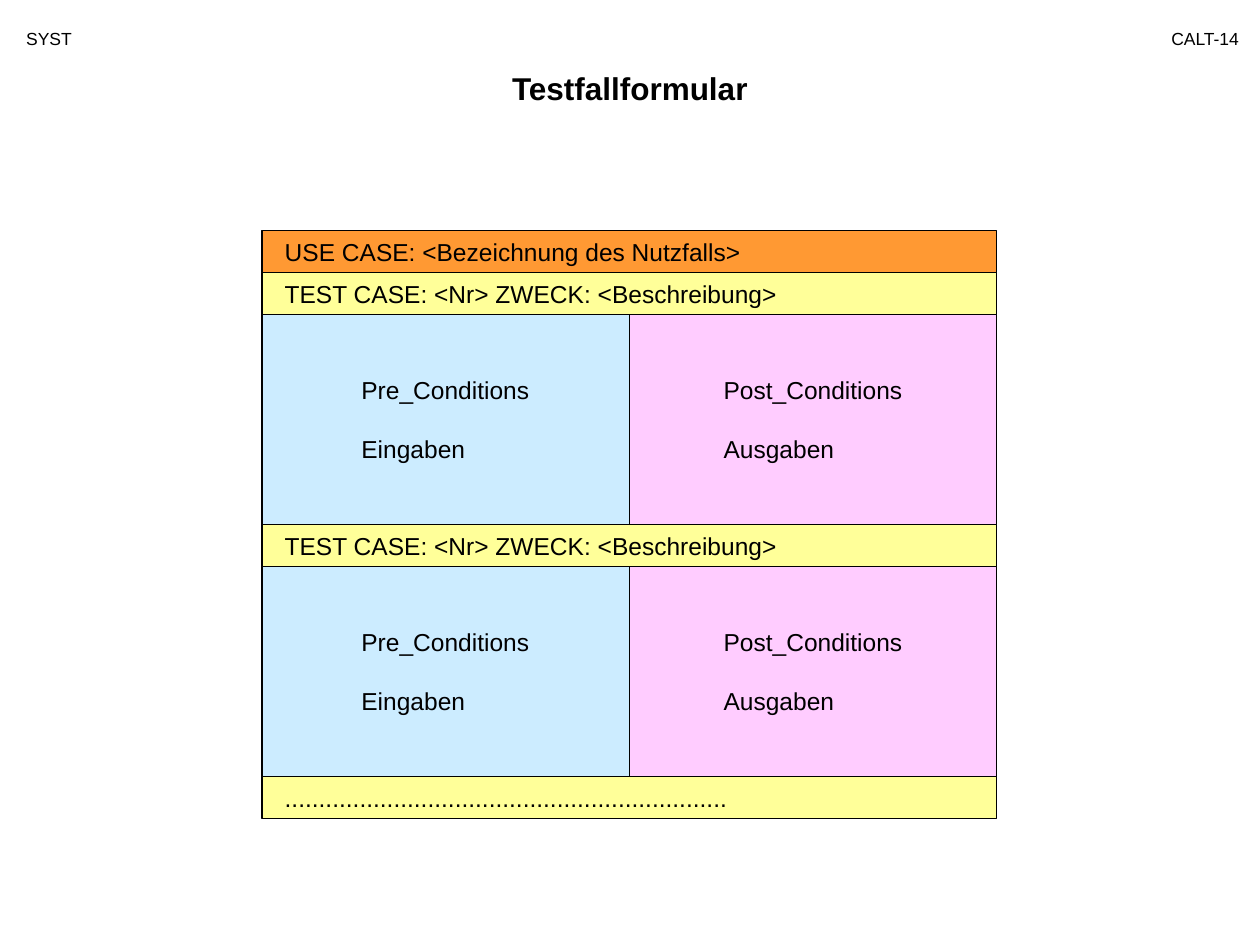
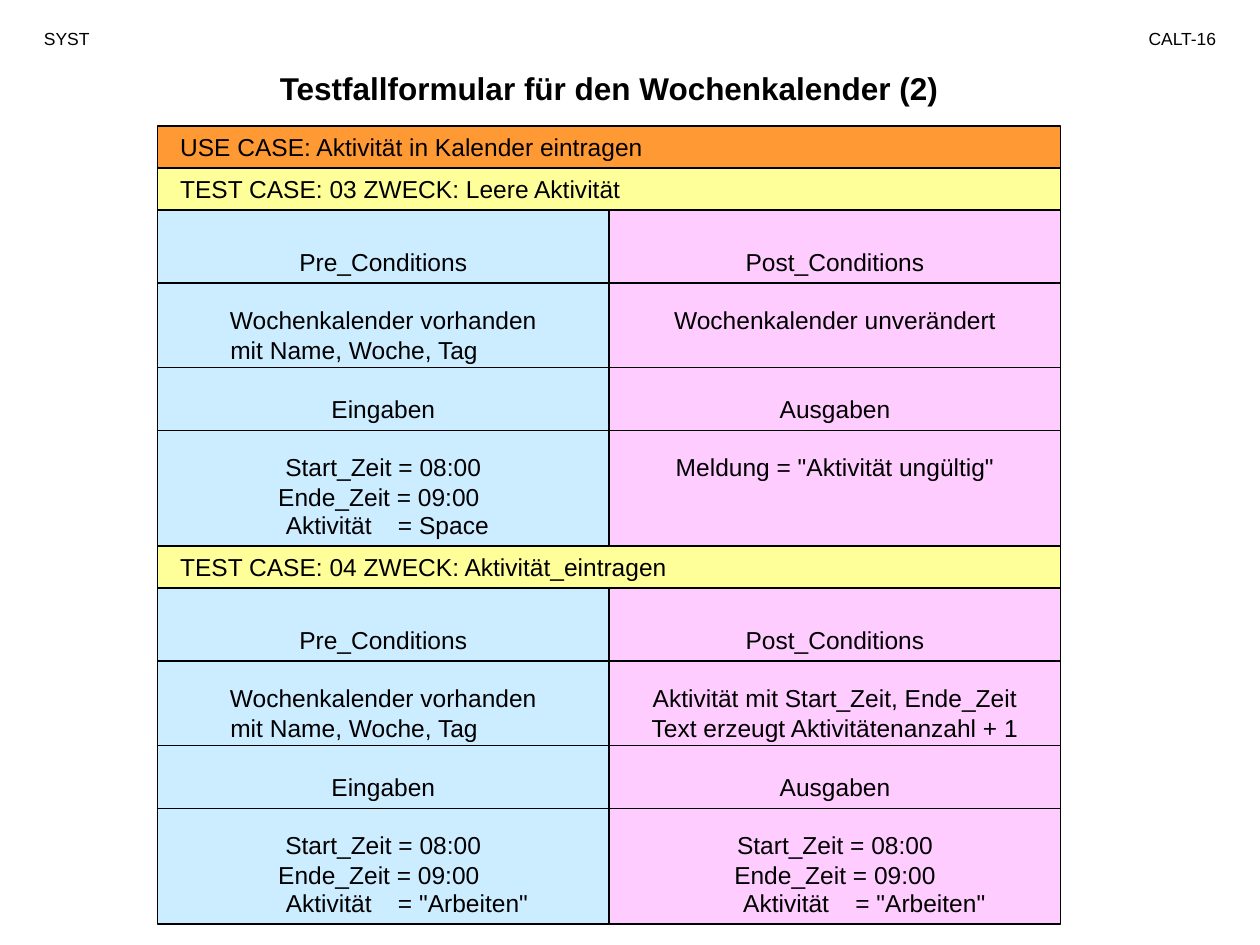
import pptx
import pptx.dml.color
import pptx.enum.shapes
import pptx.enum.text
import pptx.oxml.ns
import pptx.util
from lxml import etree

Inches = pptx.util.Inches
Pt = pptx.util.Pt
ALIGN = pptx.enum.text.PP_ALIGN
ANCHOR = pptx.enum.text.MSO_ANCHOR

COLOURS = {
    "ink": "000000",
    "use_case": "FF9933",
    "test_case": "FFFF99",
    "before": "CCECFF",
    "after": "FFCCFF",
}
FONT = "Arial"
BODY_SIZE = 14
LINE_PITCH = 16.8
BAR_HEIGHT = 1 / 3
BAR_INDENT = 0.18
INSET = 0.1


def rgb(name):
    return pptx.dml.color.RGBColor.from_string(COLOURS[name])


class FormDeck:
    """Holds the style, the current slide and the next free row of its form."""

    def __init__(self):
        self.deck = pptx.Presentation()
        self.deck.slide_width = Inches(10)
        self.deck.slide_height = Inches(7.5)

    def start_slide(self, title, title_box, number, header_boxes):
        """Add a slide with its title and headers; boxes are (left, width)."""
        self.slide = self.deck.slides.add_slide(self.deck.slide_layouts[6])
        self.text_box(title, title_box, 0.5, 0.4, 18, ALIGN.CENTER, bold=True)
        for header, box, align in zip(("SYST", number), header_boxes, (ALIGN.LEFT, ALIGN.RIGHT)):
            self.text_box(header, box, 0.17, 0.27, 10, align)

    def start_form(self, left, top, width, cell_height, cell_top):
        self.left, self.row, self.width = left, top, width
        self.cell_height, self.cell_top = cell_height, cell_top

    def add_run(self, paragraph, text, size=BODY_SIZE, bold=False):
        run = paragraph.add_run()
        run.text = text
        run.font.name = FONT
        run.font.size = Pt(size)
        run.font.bold = bold
        run.font.color.rgb = rgb("ink")

    def text_box(self, text, box, top, height, size, align=ALIGN.LEFT, bold=False):
        left, width = box
        frame = self.slide.shapes.add_textbox(
            Inches(left), Inches(top), Inches(width), Inches(height)).text_frame
        frame.word_wrap = True
        paragraph = frame.paragraphs[0]
        paragraph.alignment = align
        self.add_run(paragraph, text, size, bold)
        return paragraph

    def rectangle(self, left, width, height, fill):
        """Draw a bordered rectangle on the current row, return its text frame."""
        rect = self.slide.shapes.add_shape(
            pptx.enum.shapes.MSO_SHAPE.RECTANGLE,
            Inches(left), Inches(self.row), Inches(width), Inches(height))
        rect.shadow.inherit = False
        rect.fill.solid()
        rect.fill.fore_color.rgb = rgb(fill)
        rect.line.color.rgb = rgb("ink")
        rect.line.width = Pt(0.75)
        rect.text_frame.word_wrap = True
        return rect.text_frame

    def bar(self, text, fill="test_case"):
        frame = self.rectangle(self.left, self.width, BAR_HEIGHT, fill)
        frame.vertical_anchor = ANCHOR.MIDDLE
        frame.margin_left = Inches(BAR_INDENT)
        frame.margin_top = frame.margin_bottom = 0
        frame.paragraphs[0].alignment = ALIGN.LEFT
        self.add_run(frame.paragraphs[0], text)
        self.row += BAR_HEIGHT

    def cells(self, before, after):
        """Draw both halves of a test case; a line is (text, lines skipped, indent or None)."""
        half = self.width / 2
        for column, (fill, lines) in enumerate((("before", before), ("after", after))):
            frame = self.rectangle(self.left + column * half, half, self.cell_height, fill)
            frame.vertical_anchor = ANCHOR.TOP
            frame.margin_top = Inches(self.cell_top)
            for index, (text, skipped, indent) in enumerate(lines):
                paragraph = frame.paragraphs[0] if index == 0 else frame.add_paragraph()
                paragraph.line_spacing = Pt(LINE_PITCH)
                if skipped:
                    paragraph.space_before = Pt(skipped * LINE_PITCH)
                if indent is None:
                    paragraph.alignment = ALIGN.CENTER
                else:
                    paragraph.alignment = ALIGN.LEFT
                    properties = paragraph._p.get_or_add_pPr()
                    properties.set("marL", str(Inches(indent)))
                    properties.set("indent", "0")
                self.add_run(paragraph, text)
        self.row += self.cell_height

    def activity(self, value, left):
        """Write the activity entry in the last line of the cells just drawn."""
        paragraph = self.text_box("Aktivität\t= " + value, (left, 2.25),
                                  self.row - BAR_HEIGHT, 0.34, BODY_SIZE)
        qn = pptx.oxml.ns.qn
        tabs = etree.SubElement(paragraph._p.get_or_add_pPr(), qn("a:tabLst"))
        etree.SubElement(tabs, qn("a:tab"), pos=str(Inches(0.89)), algn="l")

    def rule(self, offset):
        """Draw a line across the form, offset from the top of the cells just drawn."""
        y = Inches(self.row - self.cell_height + offset)
        line = self.slide.shapes.add_connector(
            pptx.enum.shapes.MSO_CONNECTOR.STRAIGHT,
            Inches(self.left), y, Inches(self.left + self.width), y)
        line.line.color.rgb = rgb("ink")
        line.line.width = Pt(0.75)
        etree.SubElement(line._element.spPr, pptx.oxml.ns.qn("a:effectLst"))


def template_slide(form):
    form.start_slide("Testfallformular", (1.25, 7.5), "CALT-14",
                     ((0.11, 1.15), (8.78, 1.15)))
    form.start_form(left=2.08, top=1.83, width=5.83, cell_height=5 / 3, cell_top=0.48)
    form.bar("USE CASE: <Bezeichnung des Nutzfalls>", "use_case")
    for _ in range(2):
        form.bar("TEST CASE: <Nr> ZWECK: <Beschreibung>")
        form.cells([("Pre_Conditions", 0, 0.69), ("Eingaben", 1, 0.69)],
                   [("Post_Conditions", 0, 0.65), ("Ausgaben", 1, 0.65)])
    form.bar("." * 65)


def calendar_slide(form):
    form.start_slide("Testfallformular für den Wochenkalender (2)", (0.75, 8.17), "CALT-16",
                     ((0.25, 0.92), (8.67, 1.08)))
    form.start_form(left=1.25, top=1, width=7.17, cell_height=8 / 3, cell_top=0.29)
    start, end = "Start_Zeit = 08:00", "Ende_Zeit = 09:00"
    before = [
        ("Pre_Conditions", 0, None),
        ("Wochenkalender vorhanden", 1, None),
        ("mit Name, Woche, Tag", 0, 0.48),
        ("Eingaben", 1, None),
        (start, 1, None),
        (end, 0, 0.86),
    ]
    empty_activity = [
        ("Post_Conditions", 0, None),
        ("Wochenkalender unverändert", 1, None),
        ("Ausgaben", 2, None),
        ('Meldung = "Aktivität ungültig"', 1, None),
    ]
    new_activity = [
        ("Post_Conditions", 0, None),
        ("Aktivität mit Start_Zeit, Ende_Zeit", 1, None),
        ("Text erzeugt Aktivitätenanzahl + 1", 0, None),
        ("Ausgaben", 1, None),
        (start, 1, None),
        (end, 0, None),
    ]
    cases = (
        ("TEST CASE: 03 ZWECK: Leere Aktivität", empty_activity, "Space", (2.17,)),
        ("TEST CASE: 04 ZWECK: Aktivität_eintragen", new_activity, '"Arbeiten"', (2.17, 5.8)),
    )
    form.bar("USE CASE: Aktivität in Kalender eintragen", "use_case")
    for heading, after, value, activity_lefts in cases:
        form.bar(heading)
        form.cells(before, after)
        for left in activity_lefts:
            form.activity(value, left)
        for offset in (0.58, 1.25, 1.75):
            form.rule(offset)


def main():
    form = FormDeck()
    template_slide(form)
    calendar_slide(form)
    form.deck.save("out.pptx")


if __name__ == "__main__":
    main()
